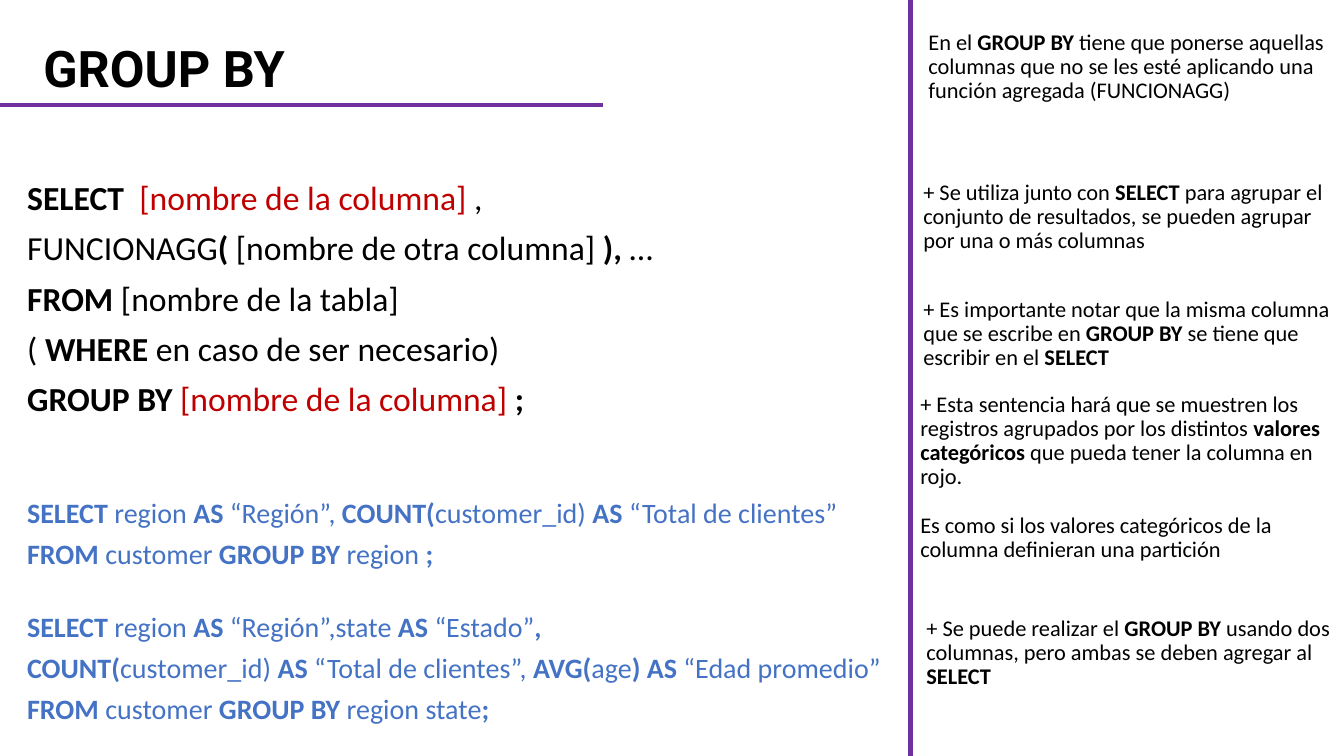
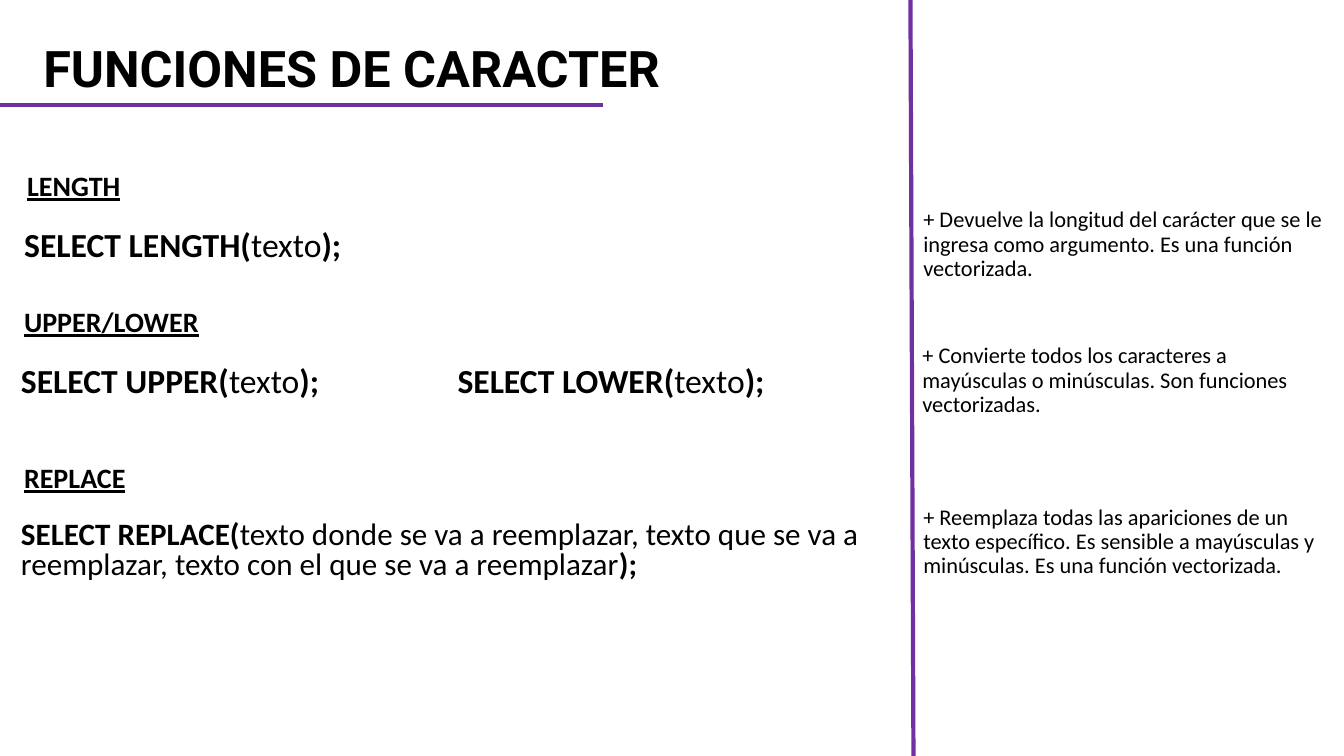
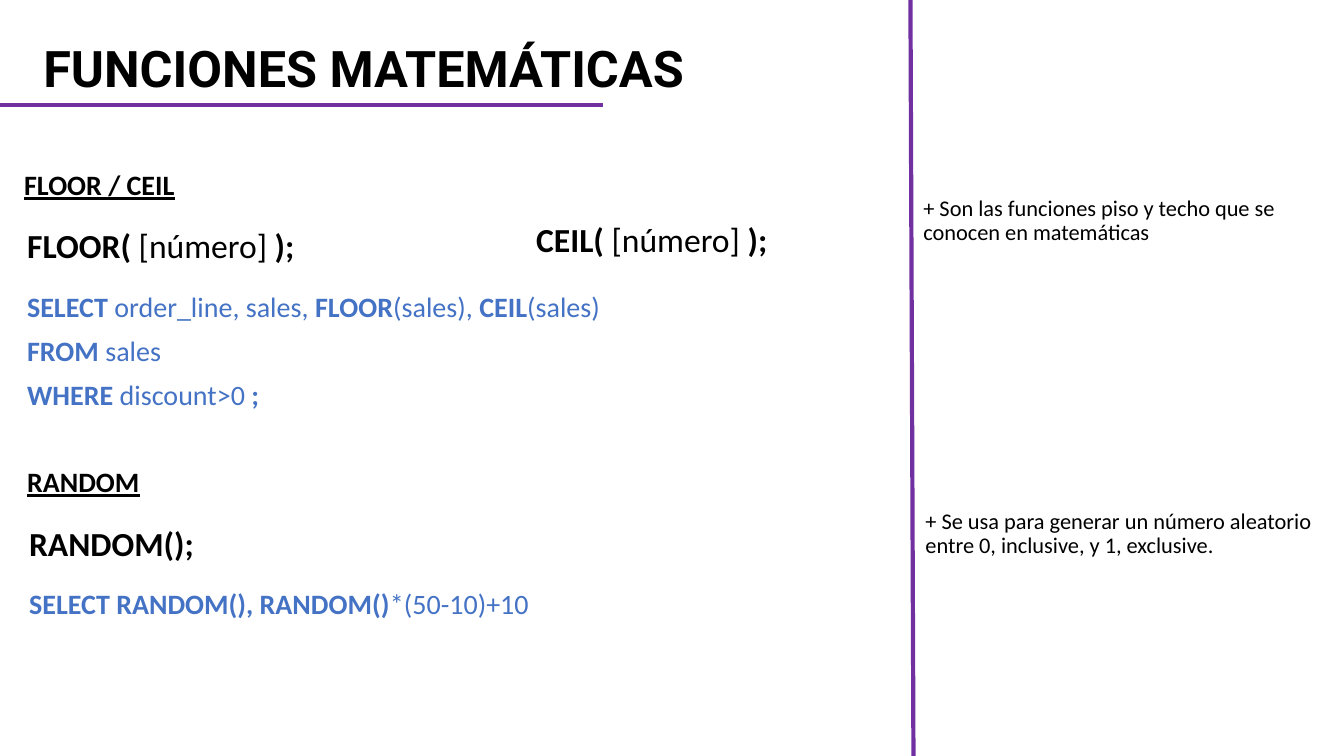
from lxml import etree
from pptx import Presentation
from pptx.dml.color import RGBColor
from pptx.enum.shapes import MSO_CONNECTOR
from pptx.enum.text import MSO_ANCHOR, MSO_AUTO_SIZE, PP_ALIGN
from pptx.oxml.ns import qn
from pptx.util import Inches, Pt

STRAIGHT = MSO_CONNECTOR.STRAIGHT
TOP, BOTTOM = MSO_ANCHOR.TOP, MSO_ANCHOR.BOTTOM
LEFT = PP_ALIGN.LEFT
NO_AUTOFIT = MSO_AUTO_SIZE.NONE

BLACK = RGBColor(0x00, 0x00, 0x00)
RED = RGBColor(0xC0, 0x00, 0x00)
BLUE = RGBColor(0x44, 0x72, 0xC4)
PURPLE = RGBColor(0x70, 0x30, 0xA0)

# Grid of square cells, ten to the inch
CELL = Inches(0.1)
COLUMNS, ROWS = 133.3, 75
CODE_WIDTH = 87.1
NOTE_LEFT = 90.6


def text_style(size, color=BLACK, spacing=0.9, font="Calibri", anchor=TOP, underline=None):
    return {
        "font": {"name": font, "size": Pt(size), "underline": underline},
        "paragraph": {"alignment": LEFT, "line_spacing": spacing},
        "frame": {"word_wrap": True, "auto_size": NO_AUTOFIT, "vertical_anchor": anchor},
        "color": color,
    }


TITLE = text_style(36, font="Roboto", anchor=BOTTOM)
HEADING = text_style(20, underline=True)
STATEMENT = text_style(24)
LONG_STATEMENT = text_style(22.2, spacing=0.8)
EXAMPLE = text_style(20, BLUE)
TIGHT_EXAMPLE = text_style(20, BLUE, 0.8)
NOTE = text_style(16)


def apply_format(target, values):
    for name, value in values.items():
        setattr(target, name, value)


def cells(*lengths):
    return [int(length * CELL) for length in lengths]


def write_lines(shape, lines, style):
    """Write one paragraph per line; | switches bold and ~ switches red."""
    frame = shape.text_frame
    apply_format(frame, style["frame"])
    for index, line in enumerate(lines):
        paragraph = frame.add_paragraph() if index else frame.paragraphs[0]
        apply_format(paragraph, style["paragraph"])
        paragraph.space_before = Pt(10 if index else 0)
        for bold_index, stretch in enumerate(line.split("|")):
            for red_index, words in enumerate(stretch.split("~")):
                if words:
                    run = paragraph.add_run()
                    run.text = words
                    apply_format(run.font, style["font"])
                    run.font.bold = bold_index % 2 == 1
                    run.font.color.rgb = RED if red_index % 2 else style["color"]


def place_text(slide, box, lines, style, placeholder=None):
    if placeholder is None:
        shape = slide.shapes.add_textbox(*cells(*box))
    else:
        shape = placeholder
        sides = ("left", "top", "width", "height")
        apply_format(shape, dict(zip(sides, cells(*box))))
    write_lines(shape, lines, style)


def add_rule(slide, start, end):
    rule = slide.shapes.add_connector(STRAIGHT, *cells(*start, *end))
    rule.line.color.rgb = PURPLE
    rule.line.width = Pt(3)
    etree.SubElement(rule._element.spPr, qn("a:effectLst"))


def add_page(presentation, title, divider_foot):
    """Title with its underline, and the divider before the notes."""
    slide = presentation.slides.add_slide(presentation.slide_layouts[0])
    place_text(slide, (3.3, 3, 100, 7.3), [f"|{title}|"], TITLE, slide.shapes.title)
    add_rule(slide, (0, 10.4), (59.8, 10.4))
    add_rule(slide, (divider_foot, ROWS), (90.3, 0))
    return slide


def add_note(slide, left, top, text, height=9.7):
    place_text(slide, (left, top, COLUMNS - left, height), [text], NOTE)


def add_section(slide, section, placeholder=None):
    """One SQL function: heading, statements, example and note, from its top."""
    top, code_left = section["top"], section["code_left"]
    place_text(slide, (section["left"], top, CODE_WIDTH, 5.4),
               [f"|{section['heading']}|"], HEADING)

    # Statements: the first may fill the body placeholder
    style = section.get("style", STATEMENT)
    height = 7.2 if style is LONG_STATEMENT else 5.8
    place_text(slide, (code_left, top + section["code_drop"], section["code_width"], height),
               [section["statement"]], style, placeholder)
    if "second" in section:
        left, drop, text = section["second"]
        place_text(slide, (left, top + drop, 35, 5.8), [text], STATEMENT)

    if "example" in section:
        place_text(slide, (code_left, top + 12.1, 88.9, 13.4), section["example"], EXAMPLE)
    note_left, note_drop, note = section["note"]
    add_note(slide, note_left, top + note_drop, note)


def add_function_page(presentation, title, sections):
    slide = add_page(presentation, title, 90.6)
    body = slide.placeholders[1]
    for index, section in enumerate(sections):
        add_section(slide, section, None if index else body)


def add_clause_page(presentation, title, syntax, examples, notes):
    slide = add_page(presentation, title, 90.3)
    place_text(slide, (1.7, 17.5, CODE_WIDTH, 27.1), syntax, STATEMENT, slide.placeholders[1])
    for top, height, lines in examples:
        place_text(slide, (1.7, top, CODE_WIDTH, height), lines, TIGHT_EXAMPLE)
    for left, top, text in notes:
        add_note(slide, left, top, text)


# Content of the GROUP BY page
GROUP_SYNTAX = [
    "|SELECT  |~[nombre de la columna]~ ,",
    "FUNCIONAGG|( |[nombre de otra columna] |),| …",
    "|FROM| [nombre de la tabla]",
    "( |WHERE |en caso de ser necesario)",
    "|GROUP BY |~[nombre de la columna] ~|;|",
]
GROUP_EXAMPLES = [
    (49.3, 8.2, [
        "|SELECT |region |AS |“Región”, |COUNT(|customer_id) |AS| “Total de clientes”",
        "|FROM |customer |GROUP BY |region |;|",
    ]),
    (60.6, 12.5, [
        "|SELECT |region |AS |“Región”,state |AS |“Estado”|,|",
        "|COUNT(|customer_id) |AS| “Total de clientes”, |AVG(|age|) AS| “Edad promedio”",
        "|FROM |customer |GROUP BY |region state|;|",
    ]),
]
GROUP_NOTES = [
    (91.1, 2.6, "En el |GROUP BY| tiene que ponerse aquellas columnas que no se les esté "
                "aplicando una función agregada (FUNCIONAGG)"),
    (NOTE_LEFT, 17.5, "+ Se utiliza junto con |SELECT| para agrupar el conjunto de "
                      "resultados, se pueden agrupar por una o más columnas"),
    (NOTE_LEFT, 29.1, "+ Es importante notar que la misma columna que se escribe en "
                      "|GROUP BY| se tiene que escribir en el |SELECT|"),
    (90.3, 38.5, "+ Esta sentencia hará que se muestren los registros agrupados por los "
                 "distintos |valores categóricos |que pueda tener la columna en rojo."),
    (90.3, 50.5, "Es como si los valores categóricos de la columna definieran una partición"),
    (90.9, 60.7, "+ Se puede realizar el |GROUP BY| usando dos columnas, pero ambas se "
                 "deben agregar al |SELECT|"),
]

# Content of the function pages
CHARACTER_SECTIONS = [
    {
        "top": 16.6, "left": 1.7, "heading": "LENGTH",
        "code_left": 1.4, "code_drop": 5.6, "code_width": CODE_WIDTH,
        "statement": "|SELECT LENGTH(|texto|);|",
        "note": (NOTE_LEFT, 3.6, "+ Devuelve la longitud del carácter que se le ingresa como "
                                 "argumento. Es una función vectorizada."),
    },
    {
        "top": 30.1, "left": 1.4, "heading": "UPPER/LOWER",
        "code_left": 1.1, "code_drop": 5.6, "code_width": 43,
        "statement": "|SELECT UPPER(|texto|);|",
        "second": (44.4, 5.6, "|SELECT LOWER(|texto|);|"),
        "note": (90.5, 3.6, "+ Convierte todos los caracteres a mayúsculas o minúsculas. "
                            "Son funciones vectorizadas."),
    },
    {
        "top": 45.6, "left": 1.4, "heading": "REPLACE",
        "code_left": 1.1, "code_drop": 5.7, "code_width": CODE_WIDTH,
        "style": LONG_STATEMENT,
        "statement": "|SELECT REPLACE(|texto donde se va a reemplazar, texto que se va a "
                     "reemplazar, texto con el que se va a reemplazar|);|",
        "note": (NOTE_LEFT, 4.1, "+ Reemplaza todas las apariciones de un texto específico. "
                                 "Es sensible a mayúsculas y minúsculas. "
                                 "Es una función vectorizada."),
    },
]
MATH_SECTIONS = [
    {
        "top": 16.5, "left": 1.4, "heading": "FLOOR / CEIL",
        "code_left": 1.7, "code_drop": 5.8, "code_width": 28.7,
        "statement": "|FLOOR( |[número] |);|",
        "second": (52.2, 5.2, "|CEIL( |[número] |);|"),
        "example": [
            "|SELECT |order_line, sales, |FLOOR|(sales), |CEIL|(sales)",
            "|FROM| sales",
            "|WHERE |discount>0 |;|",
        ],
        "note": (NOTE_LEFT, 2.6, "+ Son las funciones piso y techo que se conocen en "
                                 "matemáticas"),
    },
    {
        "top": 46, "left": 1.7, "heading": "RANDOM",
        "code_left": 1.9, "code_drop": 5.8, "code_width": 28.7,
        "statement": "|RANDOM();|",
        "example": ["|SELECT RANDOM(), RANDOM()|*(50-10)+10"],
        "note": (90.8, 4.1, "+ Se usa para generar un número aleatorio entre 0, inclusive, "
                            "y 1, exclusive."),
    },
]


def main():
    presentation = Presentation()
    presentation.slide_width, presentation.slide_height = cells(COLUMNS, ROWS)
    add_clause_page(presentation, "GROUP BY", GROUP_SYNTAX, GROUP_EXAMPLES, GROUP_NOTES)
    add_function_page(presentation, "FUNCIONES DE CARACTER", CHARACTER_SECTIONS)
    add_function_page(presentation, "FUNCIONES MATEMÁTICAS", MATH_SECTIONS)
    presentation.save("out.pptx")


if __name__ == "__main__":
    main()
